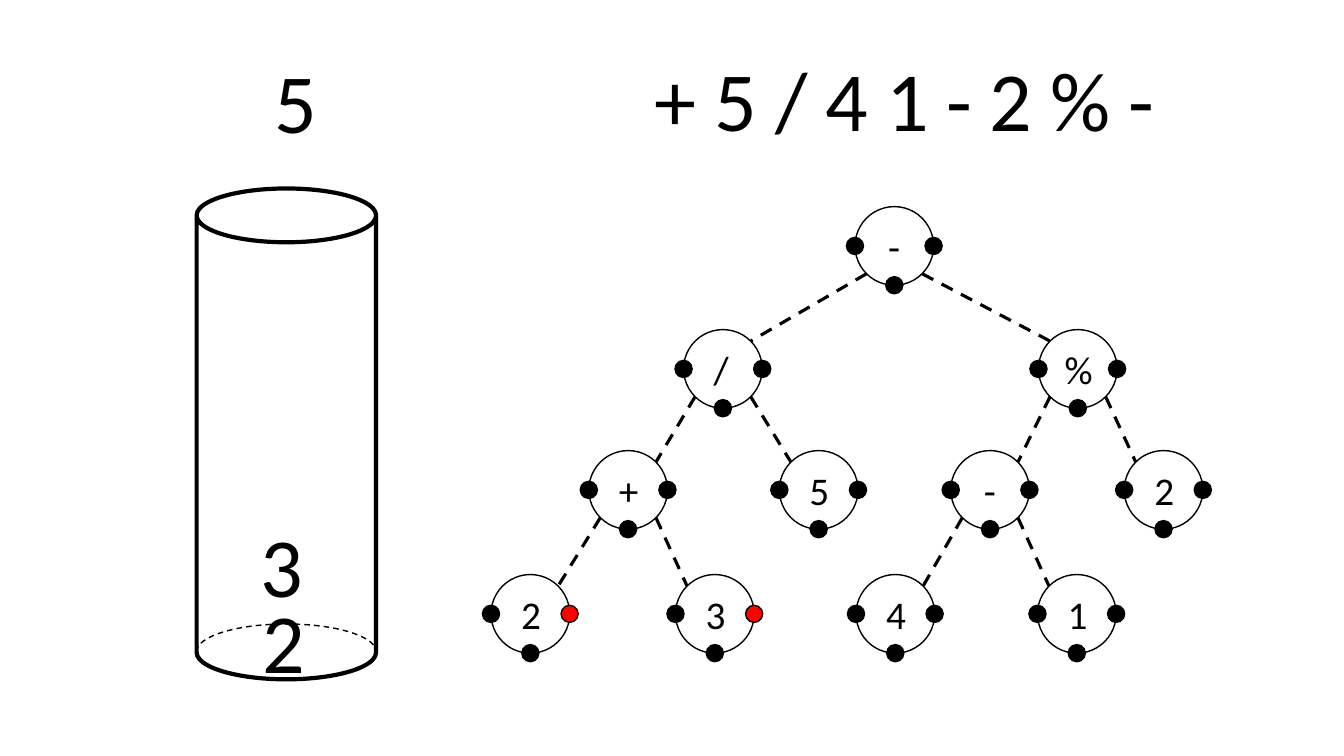
"""Build a slide that evaluates an expression tree in postorder with a stack."""
import pptx
import pptx.dml.color
import pptx.enum.dml
import pptx.enum.shapes
import pptx.enum.text
import pptx.util
from pptx.util import Inches

BLACK = pptx.dml.color.RGBColor(0, 0, 0)
WHITE = pptx.dml.color.RGBColor(255, 255, 255)
RED = pptx.dml.color.RGBColor(255, 0, 0)
DASH = pptx.enum.dml.MSO_LINE.DASH
OVAL = pptx.enum.shapes.MSO_SHAPE.OVAL
CAN = pptx.enum.shapes.MSO_SHAPE.CAN

presentation = pptx.Presentation()
presentation.slide_width = Inches(13.33)
presentation.slide_height = Inches(7.5)
slide = presentation.slides.add_slide(presentation.slide_layouts[6])


def add_text(text, left, top, width, height, size, wrap=False):
    box = slide.shapes.add_textbox(Inches(left), Inches(top), Inches(width), Inches(height))
    box.text_frame.word_wrap = wrap
    box.text_frame.auto_size = pptx.enum.text.MSO_AUTO_SIZE.SHAPE_TO_FIT_TEXT
    run = box.text_frame.paragraphs[0].add_run()
    run.text = text
    run.font.name = "Calibri"
    run.font.size = pptx.util.Pt(size)
    run.font.color.rgb = BLACK


def add_outlined(kind, left, top, width, height, fill=None, weight=1):
    shape = slide.shapes.add_shape(kind, Inches(left), Inches(top), Inches(width), Inches(height))
    shape.shadow.inherit = False
    if fill is None:
        shape.fill.background()
    else:
        shape.fill.solid()
        shape.fill.fore_color.rgb = fill
    shape.line.color.rgb = BLACK
    shape.line.width = pptx.util.Pt(weight)
    return shape


stack = add_outlined(CAN, 1.95, 1.87, 1.78, 4.87, fill=WHITE, weight=3)
stack.adjustments[0] = 0.3
stack_base = add_outlined(OVAL, 1.95, 6.19, 1.78, 0.55)
stack_base.line.dash_style = DASH

for value, left, top in [("2", 2.51, 5.8), ("3", 2.49, 5.04), ("5", 2.62, 0.44)]:
    add_text(value, left, top, 0.63, 1.11, 60)

SYMBOL_WIDTHS = {"-": 0.46, "/": 0.53, "%": 0.8}
symbol_left = 6.39
for symbol in "+5/41-2%-":
    symbol_width = SYMBOL_WIDTHS.get(symbol, 0.63)
    add_text(symbol, symbol_left, 0.42, symbol_width, 1.11, 60)
    symbol_left += symbol_width - 0.03

RADIUS = 0.39
DOT = 0.17
LEVELS = [2.44, 3.66, 4.86, 6.09]
LABEL_OFFSETS = {"-": -0.16, "%": -0.23}
NODES = {
    "root": ("-", 8.87, 0, BLACK),
    "divide": ("/", 7.17, 1, BLACK),
    "modulo": ("%", 10.69, 1, BLACK),
    "plus": ("+", 6.23, 2, BLACK),
    "five": ("5", 8.12, 2, BLACK),
    "minus": ("-", 9.82, 2, BLACK),
    "right two": ("2", 11.54, 2, BLACK),
    "left two": ("2", 5.26, 3, RED),
    "three": ("3", 7.09, 3, RED),
    "four": ("4", 8.88, 3, BLACK),
    "one": ("1", 10.68, 3, BLACK),
}
CHILDREN = {
    "root": ("divide", "modulo"),
    "divide": ("plus", "five"),
    "modulo": ("minus", "right two"),
    "plus": ("left two", "three"),
    "minus": ("four", "one"),
}

for label, x, level, right_color in NODES.values():
    y = LEVELS[level]
    add_outlined(OVAL, x - RADIUS, y - RADIUS, 2 * RADIUS, 2 * RADIUS, fill=WHITE)
    for dx, dy, color in [(-RADIUS, 0, BLACK), (0, RADIUS, BLACK), (RADIUS, 0, right_color)]:
        add_outlined(OVAL, x + dx - DOT / 2, y + dy - DOT / 2, DOT, DOT, fill=color)
    label_left = x + LABEL_OFFSETS.get(label, -0.19)
    add_text(label, label_left, y - 0.28, 0.33, 0.57, 28, wrap=True)

DIAGONAL = RADIUS * 0.5 ** 0.5
for parent, children in CHILDREN.items():
    parent_x, parent_y = NODES[parent][1], LEVELS[NODES[parent][2]]
    for child, side in zip(children, (-1, 1)):
        child_x, child_y = NODES[child][1], LEVELS[NODES[child][2]]
        edge = slide.shapes.add_connector(
            pptx.enum.shapes.MSO_CONNECTOR.STRAIGHT,
            Inches(parent_x + side * DIAGONAL), Inches(parent_y + DIAGONAL),
            Inches(child_x - side * DIAGONAL), Inches(child_y - DIAGONAL))
        edge.line.color.rgb = BLACK
        edge.line.width = pptx.util.Pt(2.25)
        edge.line.dash_style = DASH
        edge._element.spPr.append(pptx.oxml.parse_xml(
            '<a:effectLst xmlns:a="http://schemas.openxmlformats.org/drawingml/2006/main"/>'))

presentation.save("out.pptx")
